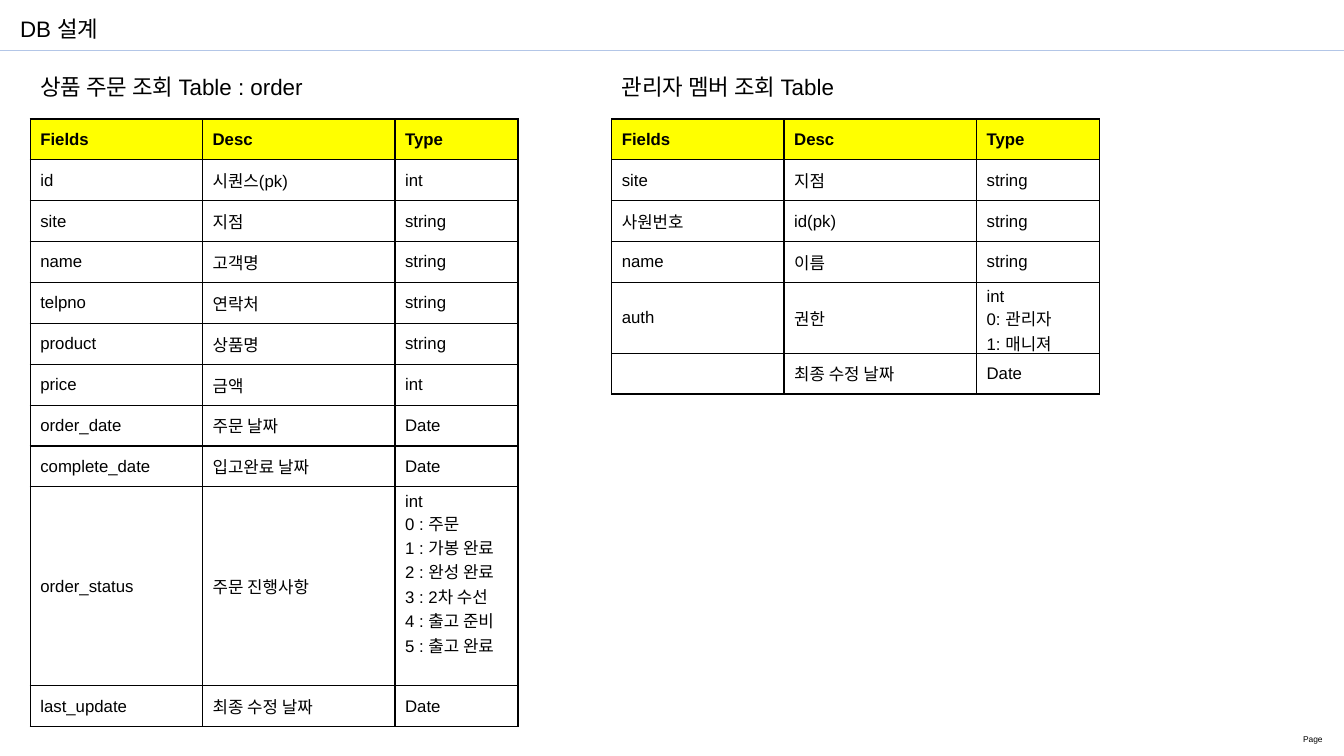
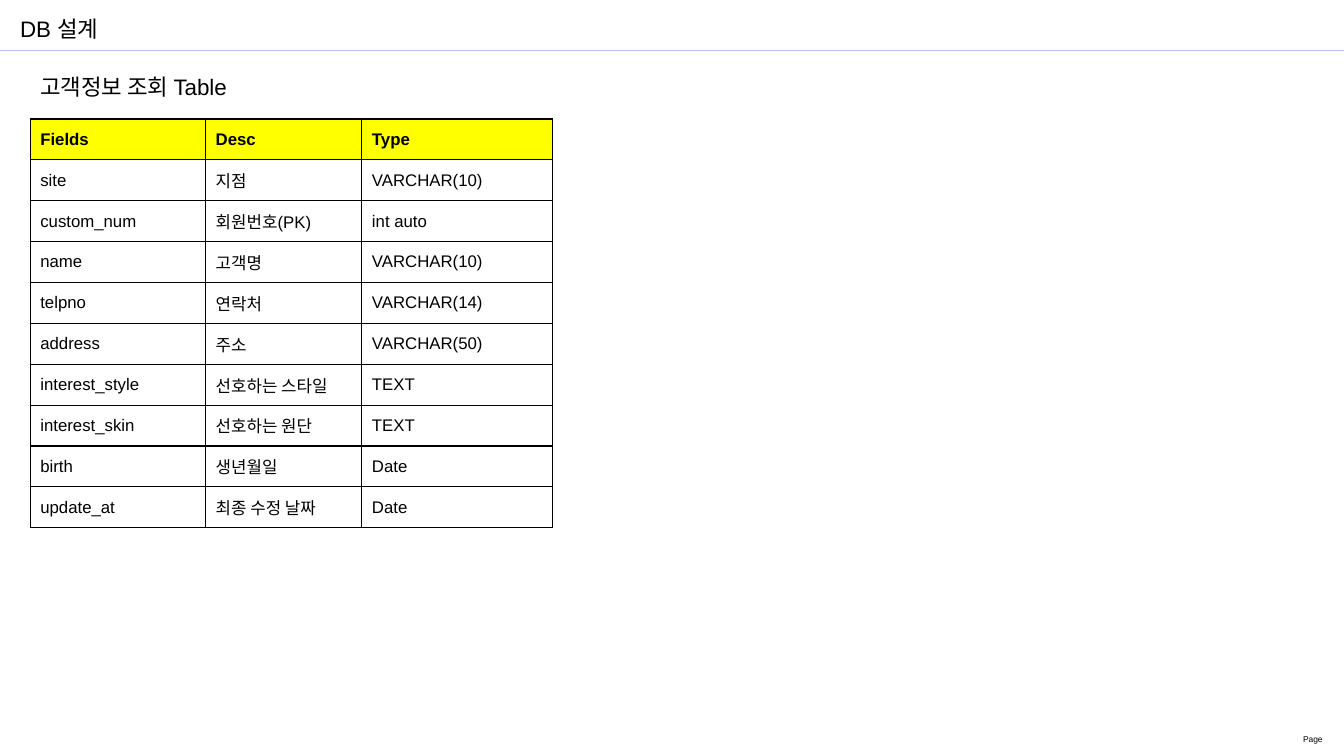
from lxml import etree
from pptx import Presentation
from pptx.dml import color
from pptx.enum import shapes, text
from pptx.oxml import ns
from pptx.util import Pt

BLACK, YELLOW, BLUE = "000000", "FFFF00", "B3C6E7"
HEAD = ("Fields", "Desc", "Type")
WIDE, TALL = 960, 540
ROW = 29.2


def rgb(code):
    return color.RGBColor.from_string(code)


class Deck:
    face = "Arial"

    def __init__(self):
        self.prs = Presentation()
        self.prs.slide_width, self.prs.slide_height = Pt(WIDE), Pt(TALL)

    def page(self, title):
        self.slide = self.prs.slides.add_slide(self.prs.slide_layouts[6])
        self.rule(36)
        self.label("Page", 879.1, 521.3, 74.2, 13, 6, (8.6, 4.3), text.PP_ALIGN.RIGHT, 1)
        self.label(title, 7.2, 7.9)

    def rule(self, y):
        line = self.slide.shapes.add_connector(
            shapes.MSO_CONNECTOR.STRAIGHT, Pt(0), Pt(y), Pt(WIDE), Pt(y))
        line.line.color.rgb = rgb(BLUE)
        line.line.width = Pt(0.75)
        etree.SubElement(line.line._get_or_add_ln().getparent(), ns.qn("a:effectLst"))

    def style(self, para, size, bold=False):
        font = para.font
        font.name, font.size, font.bold = self.face, Pt(size), bold
        font.color.rgb = rgb(BLACK)

    def label(self, words, x, y, w=663.8, h=27.4, size=16, pad=(7.2, 3.6),
              align=text.PP_ALIGN.LEFT, lead=0.9):
        box = self.slide.shapes.add_textbox(Pt(x), Pt(y), Pt(w), Pt(h))
        frame = box.text_frame
        frame.word_wrap = True
        frame.vertical_anchor = text.MSO_ANCHOR.MIDDLE
        frame.margin_left = frame.margin_right = Pt(pad[0])
        frame.margin_top = frame.margin_bottom = Pt(pad[1])
        frame.text = words
        para = frame.paragraphs[0]
        para.alignment, para.line_spacing = align, lead
        self.style(para, size)

    def border(self, cell):
        props = cell._tc.get_or_add_tcPr()
        for side in ("lnL", "lnR", "lnT", "lnB"):
            line = etree.SubElement(props, ns.qn("a:" + side), w=str(Pt(1)))
            fill = etree.SubElement(line, ns.qn("a:solidFill"))
            etree.SubElement(fill, ns.qn("a:srgbClr"), val=BLACK)

    def cell(self, cell, words, head):
        cell.text = words
        cell.vertical_anchor = text.MSO_ANCHOR.MIDDLE
        for para in cell.text_frame.paragraphs:
            self.style(para, 12, head)
        self.border(cell)
        if head:
            cell.fill.solid()
            cell.fill.fore_color.rgb = rgb(YELLOW)
        else:
            cell.fill.background()

    def table(self, title, x, cols, rows):
        self.label(title, x, 49.7)
        rows = [HEAD, *rows]
        table = self.slide.shapes.add_table(
            len(rows), len(cols), Pt(x), Pt(85), Pt(sum(cols)), Pt(ROW * len(rows))).table
        table.first_row = table.horz_banding = False
        for col, width in zip(table.columns, cols):
            col.width = Pt(width)
        for r, row in enumerate(rows):
            table.rows[r].height = Pt(ROW)
            for c, words in enumerate(row):
                self.cell(table.cell(r, c), words, r == 0)
        return table


ORDER = [
    ("id", "시퀀스(pk)", "int"),
    ("site", "지점", "string"),
    ("name", "고객명", "string"),
    ("telpno", "연락처", "string"),
    ("product", "상품명", "string"),
    ("price", "금액", "int"),
    ("order_date", "주문 날짜", "Date"),
    ("complete_date", "입고완료 날짜", "Date"),
    ("order_status", "주문 진행사항",
     "int\n0 : 주문\n1 : 가봉 완료\n2 : 완성 완료\n3 : 2차 수선\n4 : 출고 준비\n5 : 출고 완료"),
    ("last_update", "최종 수정 날짜", "Date"),
]
STAFF = [
    ("site", "지점", "string"),
    ("사원번호", "id(pk)", "string"),
    ("name", "이름", "string"),
    ("auth", "권한", "int\n0: 관리자\n1: 매니져"),
    ("", "최종 수정 날짜", "Date"),
]
CLIENT = [
    ("site", "지점", "VARCHAR(10)"),
    ("custom_num", "회원번호(PK)", "int auto"),
    ("name", "고객명", "VARCHAR(10)"),
    ("telpno", "연락처", "VARCHAR(14)"),
    ("address", "주소", "VARCHAR(50)"),
    ("interest_style", "선호하는 스타일", "TEXT"),
    ("interest_skin", "선호하는 원단", "TEXT"),
    ("birth", "생년월일", "Date"),
    ("update_at", "최종 수정 날짜", "Date"),
]


def main():
    deck = Deck()
    title = "DB 설계"
    cols = (123.1, 137.5, 87.8)

    deck.page(title)
    order = deck.table("상품 주문 조회 Table : order", 21.6, cols, ORDER)
    order.rows[9].height = Pt(142.1)
    order.cell(9, 2).vertical_anchor = text.MSO_ANCHOR.TOP
    deck.table("관리자 멤버 조회 Table", 437, cols, STAFF)

    deck.page(title)
    deck.table("고객정보 조회 Table", 21.6, (125.3, 111.6, 136.1), CLIENT)

    deck.prs.save("out.pptx")


if __name__ == "__main__":
    main()
